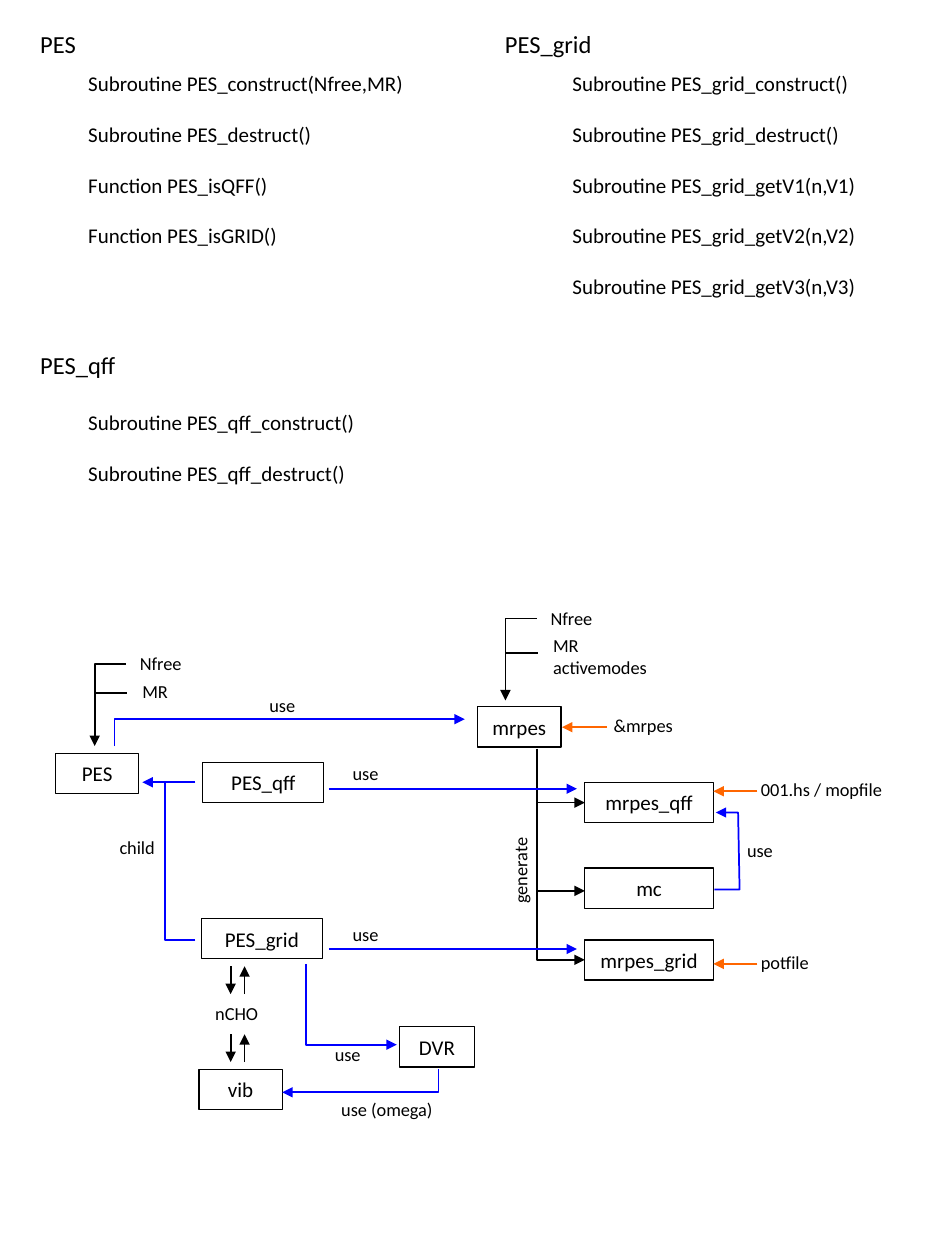
from dataclasses import dataclass

from lxml import etree
from pptx import Presentation
from pptx.dml.color import RGBColor
from pptx.enum.shapes import MSO_CONNECTOR, MSO_SHAPE
from pptx.enum.text import MSO_ANCHOR, MSO_AUTO_SIZE, PP_ALIGN
from pptx.oxml.ns import qn
from pptx.util import Cm, Pt

RECTANGLE = MSO_SHAPE.RECTANGLE
STRAIGHT = MSO_CONNECTOR.STRAIGHT
LEFT, CENTER = PP_ALIGN.LEFT, PP_ALIGN.CENTER
TOP, MIDDLE = MSO_ANCHOR.TOP, MSO_ANCHOR.MIDDLE
GROW = MSO_AUTO_SIZE.SHAPE_TO_FIT_TEXT


@dataclass(frozen=True)
class Theme:
    font: str = "Calibri"
    heading: float = 14
    body: float = 12
    label: float = 10.5
    black: RGBColor = RGBColor(0, 0, 0)
    use: RGBColor = RGBColor(0, 0, 255)
    file: RGBColor = RGBColor(255, 102, 0)
    border: float = 0.75
    stroke: float = 1


theme = Theme()
deck = Presentation()
deck.slide_width, deck.slide_height = Cm(19.05), Cm(25.4)
slide = deck.slides.add_slide(deck.slide_layouts[6])


def write(text, left, top, width, height=0.71, *, size=theme.label,
          boxed=False, gap=0, indent=0.25, rotation=0):
    """Write one paragraph per line of text, framed or plain."""
    area = Cm(left), Cm(top), Cm(width), Cm(height)
    if boxed:
        holder = slide.shapes.add_shape(RECTANGLE, *area)
        holder.shadow.inherit = False
        holder.fill.background()
        holder.line.color.rgb = theme.black
        holder.line.width = Pt(theme.border)
    else:
        holder = slide.shapes.add_textbox(*area)
        holder.text_frame.auto_size = GROW
    holder.rotation = rotation
    frame = holder.text_frame
    frame.word_wrap = False
    frame.margin_left = Cm(indent)
    frame.vertical_anchor = MIDDLE if boxed else TOP
    frame.text = text
    for number, paragraph in enumerate(frame.paragraphs):
        paragraph.alignment = CENTER if boxed else LEFT
        paragraph.space_before = Pt(gap if number else 0)
        paragraph.font.name = theme.font
        paragraph.font.size = Pt(size)
        paragraph.font.color.rgb = theme.black


def route(*points, color=theme.black, arrow=True):
    """Draw a line through the points, with the arrowhead at the last one."""
    stops = [(Cm(x), Cm(y)) for x, y in points]
    straight = len(stops) == 2
    if straight:
        course = slide.shapes.add_connector(STRAIGHT, *stops[0], *stops[1])
    else:
        builder = slide.shapes.build_freeform(*stops[0])
        builder.add_line_segments(stops[1:], close=False)
        course = builder.convert_to_shape()
        course.shadow.inherit = False
        course.fill.background()
    course.line.color.rgb = color
    course.line.width = Pt(theme.stroke)
    properties = course.element.spPr
    if straight:
        etree.SubElement(properties, qn("a:effectLst"))
    if arrow:
        etree.SubElement(properties.find(qn("a:ln")), qn("a:tailEnd"), type="triangle")


# Module headings
for module, left, top, width in [
    ("PES", 0.56, 0.46, 1.24),
    ("PES_qff", 0.56, 6.93, 2.06),
    ("PES_grid", 9.93, 0.46, 2.29),
]:
    write(module, left, top, width, 0.86, size=theme.heading)

# Routines of each module
pes_routines = """Subroutine PES_construct(Nfree,MR)
Subroutine PES_destruct()
Function PES_isQFF()
Function PES_isGRID()"""
qff_routines = """Subroutine PES_qff_construct()
Subroutine PES_qff_destruct()"""
grid_routines = """Subroutine PES_grid_construct()
Subroutine PES_grid_destruct()
Subroutine PES_grid_getV1(n,V1)
Subroutine PES_grid_getV2(n,V2)
Subroutine PES_grid_getV3(n,V3)"""
for routines, left, top, width, height in [
    (pes_routines, 1.24, 1.3, 7.24, 3.84),
    (qff_routines, 1.24, 8.13, 6.25, 1.8),
    (grid_routines, 11, 1.3, 6.6, 4.88),
]:
    write(routines, left, top, width, height, size=theme.body, gap=14.6, indent=0.54)

# Program boxes
for program, left, top, width in [
    ("mrpes", 9.63, 14.25, 1.68),
    ("mrpes_qff", 11.79, 15.77, 2.59),
    ("mc", 11.79, 17.5, 2.59),
    ("mrpes_grid", 11.79, 18.95, 2.59),
    ("PES", 1.12, 15.19, 1.68),
    ("PES_qff", 4.09, 15.37, 2.44),
    ("PES_grid", 4.06, 18.52, 2.44),
    ("vib", 4.01, 21.56, 1.68),
    ("DVR", 8.05, 20.7, 1.52),
]:
    write(program, left, top, width, 0.81, size=theme.body, boxed=True)

# Labels
for label, left, top, width in [
    ("Nfree", 10.85, 12.12, 1.37),
    ("Nfree", 2.57, 13.03, 1.37),
    ("MR", 2.62, 13.59, 1.04),
    ("&mrpes", 12.12, 14.27, 1.73),
    ("001.hs / mopfile", 15.09, 15.57, 3),
    ("potfile", 15.09, 19.05, 1.5),
    ("child", 2.16, 16.74, 1.24),
    ("nCHO", 4.09, 20.07, 1.4),
    ("use (omega)", 6.63, 22.02, 2.41),
]:
    write(label, left, top, width)
write("MR\nactivemodes", 10.9, 12.65, 2.44, 1.14)
write("generate", 9.55, 17.17, 1.88, rotation=270)
for left, top in [(5.18, 13.87), (6.86, 15.24), (6.86, 18.49), (6.5, 20.9), (14.81, 16.79)]:
    write("use", left, top, 1.04)

# Input parameters of PES and mrpes
for x, top, tick in [(1.91, 13.39, 13.97), (10.19, 12.47, 13.16)]:
    route((x + 0.63, top), (x, top), (x, top + 1.65))
    route((x, tick), (x + 0.66, tick), arrow=False)

# Programs generated by mrpes
route((10.82, 15.09), (10.82, 19.35), (11.79, 19.35))
for y in (16.18, 17.96):
    route((10.82, y), (11.79, y))

# Input files
for start, end, y in [(12.24, 11.33, 14.66), (15.27, 14.38, 15.95), (15.27, 14.38, 19.43)]:
    route((start, y), (end, y), color=theme.file)

# Children of PES
route((3.94, 15.77), (2.87, 15.77), color=theme.use)
route((3.94, 18.95), (3.33, 18.95), (3.33, 15.77), color=theme.use, arrow=False)

# Use relations
for y in (15.9, 19.13):
    route((6.63, y), (11.63, y), color=theme.use)
route((2.31, 15.04), (2.31, 14.5), (9.37, 14.5), color=theme.use)
route((14.4, 17.93), (14.91, 17.93), (14.88, 16.38), (14.43, 16.38), color=theme.use)
route((6.17, 19.43), (6.17, 21.06), (8, 21.06), color=theme.use)
route((8.84, 21.56), (8.84, 22.02), (5.69, 22.02), color=theme.use)

# Exchange between PES_grid and vib
for top in (19.48, 20.85):
    route((4.65, top), (4.65, top + 0.56))
    route((4.93, top + 0.56), (4.93, top))

deck.save("out.pptx")
